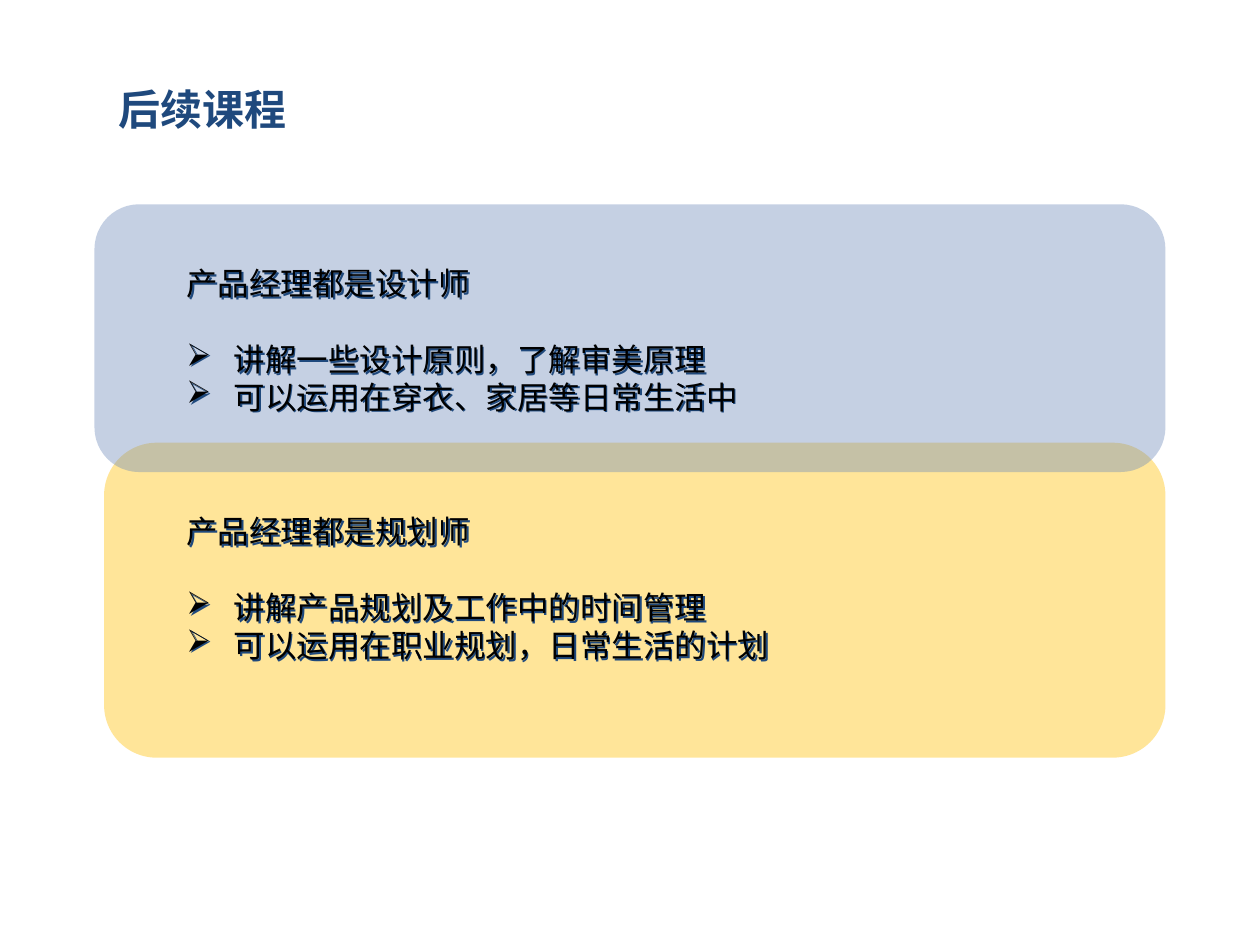
from lxml.etree import SubElement
from pptx import Presentation
from pptx.dml.color import RGBColor
from pptx.enum.shapes import MSO_SHAPE
from pptx.oxml.ns import qn
from pptx.util import Pt

TITLE = "后续课程"
COURSES = [
    {
        "heading": "产品经理都是设计师",
        "points": ["讲解一些设计原则，了解审美原理", "可以运用在穿衣、家居等日常生活中"],
        "card": (54, 116.75, 612, 153), "color": "6E8BBB",
        "text": (99.4, 147.4, 345.6, 93.6),
    },
    {
        "heading": "产品经理都是规划师",
        "points": ["讲解产品规划及工作中的时间管理", "可以运用在职业规划，日常生活的计划"],
        "card": (59.5, 253, 606.5, 180), "color": "FFC000",
        "text": (99.4, 289.25, 363, 115.2),
    },
]
THEME = {
    "font": "Noto Sans CJK SC", "title_size": 24, "body_size": 18, "leading": 1.2,
    "title": "1F497D", "body": "000000", "shadow": "1F497D",
    "card_alpha": 40, "bullet": "➢", "indent": 27,
}


def add_element(parent, tag, **attributes):
    return SubElement(parent, qn(tag), attributes)


def add_bullet(paragraph):
    properties = paragraph._p.get_or_add_pPr()
    properties.set("marL", str(Pt(THEME["indent"])))
    properties.set("indent", str(-Pt(THEME["indent"])))
    color = add_element(properties, "a:buClr")
    add_element(color, "a:srgbClr", val=THEME["body"])
    add_element(properties, "a:buChar", char=THEME["bullet"])


def add_text(slide, box, lines, *, size, color, bold=False, wrap=True,
             bulleted=False, shadow=False):
    """Write lines into a text box; bulleted lines follow a plain heading."""
    holder = slide.shapes.add_textbox(*map(Pt, box))
    frame = holder.text_frame
    frame.word_wrap = wrap
    leading = size * THEME["leading"]
    for index, line in enumerate(lines):
        paragraph = frame.paragraphs[0] if index == 0 else frame.add_paragraph()
        paragraph.line_spacing = Pt(leading)
        if index == 1:
            paragraph.space_before = Pt(leading)
        if bulleted and index:
            add_bullet(paragraph)
        run = paragraph.add_run()
        run.text = line
        run.font.size = Pt(size)
        run.font.bold = bold
        run.font.color.rgb = RGBColor.from_string(color)
        run.font.name = THEME["font"]
        add_element(run.font._element, "a:ea", typeface=THEME["font"])
    if shadow:
        effects = add_element(holder._element.spPr, "a:effectLst")
        outer = add_element(effects, "a:outerShdw", dist=str(Pt(1.5)), dir="2700000")
        add_element(outer, "a:srgbClr", val=THEME["shadow"])


def add_card(slide, box, color):
    card = slide.shapes.add_shape(MSO_SHAPE.ROUNDED_RECTANGLE, *map(Pt, box))
    card.adjustments[0] = 0.167
    card.shadow.inherit = False
    card.line.fill.background()
    card.fill.solid()
    card.fill.fore_color.rgb = RGBColor.from_string(color)
    fill_color = card._element.spPr.find(qn("a:solidFill"))[0]
    add_element(fill_color, "a:alpha", val=str(THEME["card_alpha"] * 1000))


def main():
    deck = Presentation()
    deck.slide_width, deck.slide_height = Pt(720), Pt(540)
    slide = deck.slides.add_slide(deck.slide_layouts[6])

    # Title
    add_text(slide, (60.5, 44, 110.4, 36), [TITLE], size=THEME["title_size"],
             color=THEME["title"], bold=True, wrap=False)

    # Overlapping cards, the upper one in front
    for course in reversed(COURSES):
        add_card(slide, course["card"], course["color"])

    # Course descriptions
    for course in COURSES:
        add_text(slide, course["text"], [course["heading"], *course["points"]],
                 size=THEME["body_size"], color=THEME["body"],
                 bulleted=True, shadow=True)

    deck.save("out.pptx")


if __name__ == "__main__":
    main()
